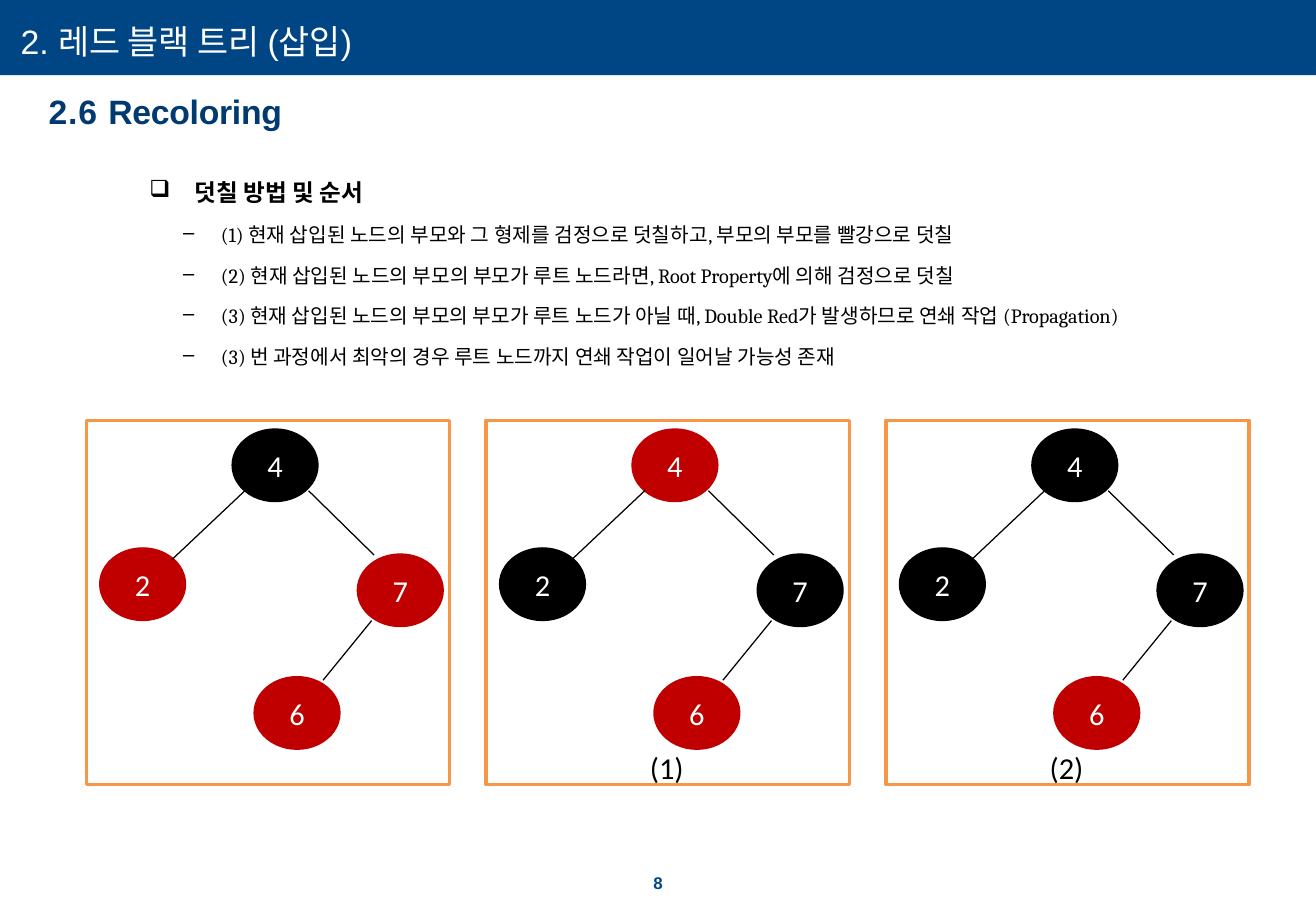
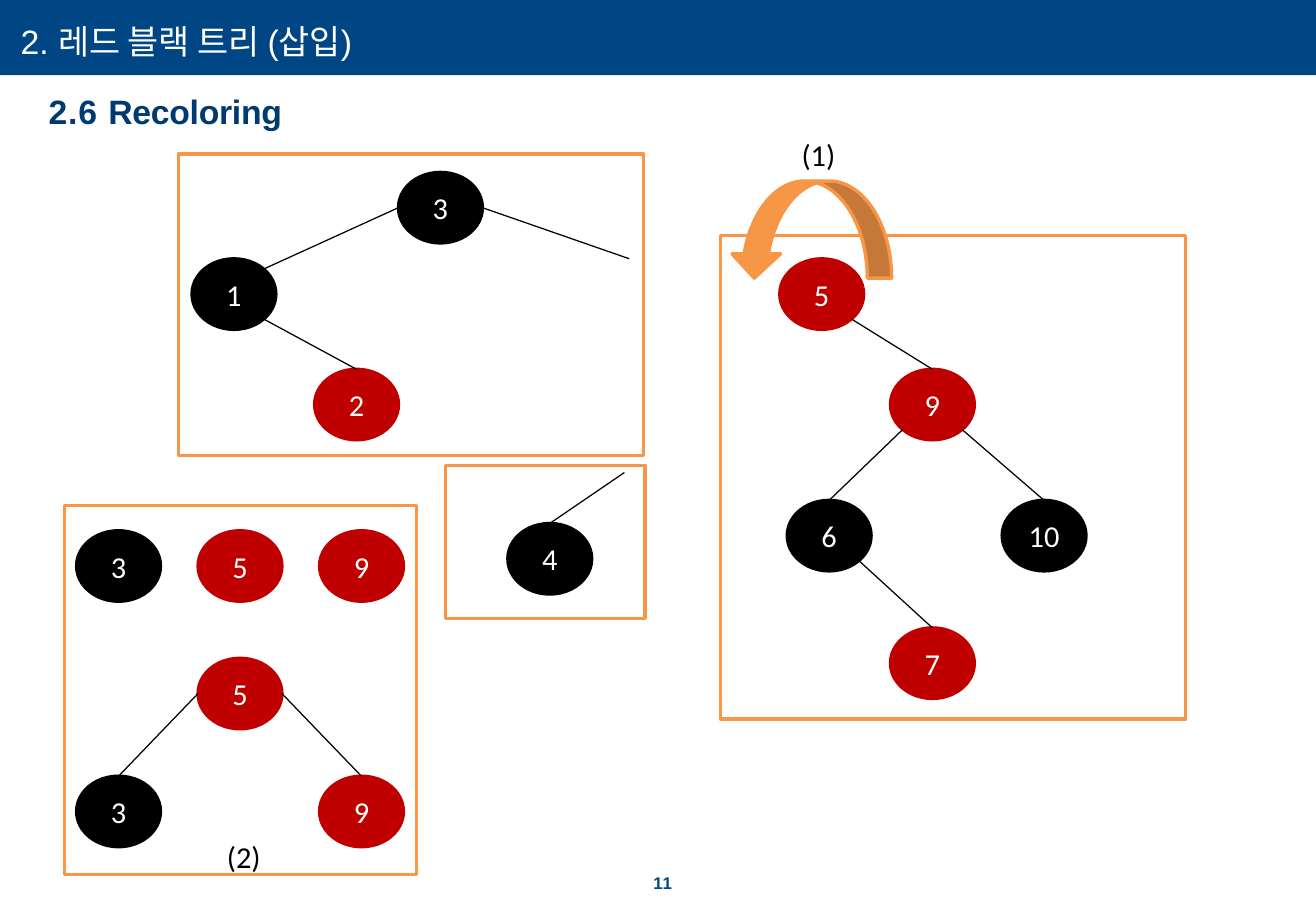
from dataclasses import dataclass

from pptx import Presentation
from pptx.dml.color import RGBColor
from pptx.enum.shapes import MSO_CONNECTOR, MSO_SHAPE
from pptx.enum.text import MSO_ANCHOR, MSO_AUTO_SIZE, PP_ALIGN
from pptx.oxml.ns import qn
from pptx.oxml.xmlchemy import OxmlElement
from pptx.util import Pt

RECTANGLE = MSO_SHAPE.RECTANGLE
OVAL = MSO_SHAPE.OVAL
CURVED_ARROW = MSO_SHAPE.CURVED_DOWN_ARROW
STRAIGHT = MSO_CONNECTOR.STRAIGHT
TOP, MIDDLE = MSO_ANCHOR.TOP, MSO_ANCHOR.MIDDLE
LEFT, CENTER = PP_ALIGN.LEFT, PP_ALIGN.CENTER
FIT_SHAPE, NO_FIT = MSO_AUTO_SIZE.SHAPE_TO_FIT_TEXT, MSO_AUTO_SIZE.NONE


@dataclass(frozen=True)
class Theme:
    band: RGBColor = RGBColor(0x00, 0x46, 0x85)
    section: RGBColor = RGBColor(0x00, 0x3A, 0x70)
    black: RGBColor = RGBColor(0x00, 0x00, 0x00)
    red: RGBColor = RGBColor(0xC0, 0x00, 0x00)
    white: RGBColor = RGBColor(0xFF, 0xFF, 0xFF)
    orange: RGBColor = RGBColor(0xF7, 0x96, 0x46)
    heading_font: str = "Arial"
    body_font: str = "Cambria"
    diagram_font: str = "Calibri"
    heading_size: float = 20
    topic_size: float = 14
    step_size: float = 12
    diagram_size: float = 18
    page_size: float = 10
    outline: float = 2
    edge: float = 0.75


THEME = Theme()
BLACK, RED = THEME.black, THEME.red
SLIDE_WIDTH, SLIDE_HEIGHT, BAND_HEIGHT = 780, 540, 44.6
NODE_WIDTH, NODE_HEIGHT = 49.7, 41.8
CAPTION_SIZE = (34.6, 28.8)

DIAGONAL = 0.3536
SITES = {
    "N": (0, -0.5), "E": (0.5, 0), "W": (-0.5, 0),
    "NE": (DIAGONAL, -DIAGONAL), "SE": (DIAGONAL, DIAGONAL),
    "SW": (-DIAGONAL, DIAGONAL),
}

TITLE = "2. 레드 블랙 트리 (삽입)"
TOPIC = "덧칠 방법 및 순서"
STEPS = [
    "(1) 현재 삽입된 노드의 부모와 그 형제를 검정으로 덧칠하고, 부모의 부모를 빨강으로 덧칠",
    "(2) 현재 삽입된 노드의 부모의 부모가 루트 노드라면, Root Property에 의해 검정으로 덧칠",
    "(3) 현재 삽입된 노드의 부모의 부모가 루트 노드가 아닐 때, Double Red가 발생하므로 연쇄 작업 (Propagation)",
    "(3) 번 과정에서 최악의 경우 루트 노드까지 연쇄 작업이 일어날 가능성 존재",
]

PANEL_LEFT, PANEL_TOP, PANEL_STEP = 51.1, 249.1, 237
PANEL_SIZE = (215.3, 216)
PANEL_NODES = {"4": (87.1, 5.8), "2": (8.6, 76.3), "7": (161.3, 79.9), "6": (100.1, 152.6)}
LOOSE_EDGES = [((169.2, 118.8), (140.4, 154.1)), ((131.8, 41.8), (170.6, 79.9))]
PANELS = [
    ("", {"4": BLACK, "2": RED, "7": RED, "6": RED}),
    ("(1)", {"4": RED, "2": BLACK, "7": BLACK, "6": RED}),
    ("(2)", {"4": BLACK, "2": BLACK, "7": BLACK, "6": RED}),
]

TREE_NODES = [
    ("3", 236.2, 102.2, BLACK), ("1", 113.8, 153.4, BLACK), ("5", 462.2, 153.4, RED),
    ("2", 186.5, 218.9, RED), ("4", 301, 310.3, BLACK), ("9", 527.8, 218.9, RED),
    ("6", 466.6, 296.6, BLACK), ("10", 594, 296.6, BLACK), ("7", 527.8, 372.2, RED),
]
TREE_EDGES = [
    ("3", "W", "1", "NE"), ("2", "N", "1", "SE"), ("5", "SE", "9", "N"),
    ("6", "N", "9", "SW"), ("10", "N", "9", "SE"), ("7", "N", "6", "SE"),
]
TREE_FRAMES = [
    (105.8, 91.4, 275.8, 178.6), (264.2, 275.8, 118.1, 90.7),
    (427, 139.7, 275.8, 286.6), (38.2, 299.5, 208.8, 218.9),
]
TRIPLE = [("3", BLACK), ("5", RED), ("9", RED)]
TRIPLE_LEFT, TRIPLE_STEP, ROW_TOP = 45.4, 72, 314.6
SUBTREE_TOPS = {"3": 460.1, "5": 390.2, "9": 460.1}


def style(run, font, size, color, bold=False, spacing=None):
    run.font.name = font
    run.font.size = Pt(size)
    run.font.color.rgb = color
    run.font.bold = bold
    if spacing is not None:
        run._r.get_or_add_rPr().set("spc", str(round(spacing * 100)))


def place(shape, left, top, width, height):
    shape.left, shape.top = Pt(left), Pt(top)
    shape.width, shape.height = Pt(width), Pt(height)


def clear_margins(frame):
    frame.margin_left = frame.margin_right = 0
    frame.margin_top = frame.margin_bottom = 0


def add_text(slide, left, top, width, height):
    box = slide.shapes.add_textbox(Pt(left), Pt(top), Pt(width), Pt(height))
    box.text_frame.word_wrap = True
    return box.text_frame


def add_figure(slide, kind, bounds, fill=None, line=None):
    figure = slide.shapes.add_shape(kind, *map(Pt, bounds))
    figure.shadow.inherit = False
    if fill is None:
        figure.fill.background()
    else:
        figure.fill.solid()
        figure.fill.fore_color.rgb = fill
    if line is None:
        figure.line.fill.background()
    else:
        figure.line.color.rgb = line
        figure.line.width = Pt(THEME.outline)
    return figure


def add_frame(slide, bounds):
    add_figure(slide, RECTANGLE, bounds, line=THEME.orange)


def add_node(slide, label, left, top, color):
    node = add_figure(slide, OVAL, (left, top, NODE_WIDTH, NODE_HEIGHT), color, color)
    node.text_frame.text = label
    node.text_frame.vertical_anchor = MIDDLE
    paragraph = node.text_frame.paragraphs[0]
    paragraph.alignment = CENTER
    style(paragraph.runs[0], THEME.diagram_font, THEME.diagram_size, THEME.white)


def site(corner, direction):
    across, down = SITES[direction]
    return (corner[0] + NODE_WIDTH * (0.5 + across), corner[1] + NODE_HEIGHT * (0.5 + down))


def add_edge(slide, start, end):
    edge = slide.shapes.add_connector(STRAIGHT, *map(Pt, (*start, *end)))
    edge.line.color.rgb = THEME.black
    edge.line.width = Pt(THEME.edge)
    edge.element.spPr.append(OxmlElement("a:effectLst"))


def add_caption(slide, text, left, top):
    frame = add_text(slide, left, top, *CAPTION_SIZE)
    frame.word_wrap = False
    frame.auto_size = FIT_SHAPE
    frame.text = text
    style(frame.paragraphs[0].runs[0], THEME.diagram_font, THEME.diagram_size, THEME.black)


def set_bullet(paragraph, character, margin, indent):
    properties = paragraph._p.get_or_add_pPr()
    properties.set("marL", str(Pt(margin)))
    properties.set("indent", str(Pt(indent)))
    bullet = OxmlElement("a:buChar")
    bullet.set("char", character)
    properties.append(bullet)


def add_outline(slide):
    frame = add_text(slide, 81.4, 93.6, 656.6, 145.4)
    frame.text = "\n".join([TOPIC, *STEPS])
    for index, paragraph in enumerate(frame.paragraphs):
        is_topic = index == 0
        size = THEME.topic_size if is_topic else THEME.step_size
        paragraph.level = 0 if is_topic else 1
        paragraph.line_spacing = 1.5
        paragraph.space_before = Pt(size * 0.2)
        set_bullet(paragraph, *(("❑", 27, -27) if is_topic else ("–", 42.5, -22.5)))
        style(paragraph.runs[0], THEME.body_font, size, THEME.black, is_topic)


def add_title(slide):
    title = slide.shapes.title
    place(title, 12.2, 12.2, 386.6, 48.2)
    frame = title.text_frame
    frame.text = TITLE
    clear_margins(frame)
    frame.vertical_anchor = TOP
    frame.auto_size = NO_FIT
    frame.paragraphs[0].alignment = LEFT
    style(frame.paragraphs[0].runs[0], THEME.heading_font, THEME.heading_size, THEME.white)


def add_section(slide):
    frame = add_text(slide, 28.8, 54, 476, 24.5)
    clear_margins(frame)
    for text, spacing in (("2.6 ", 0.5), ("Recoloring", -0.2)):
        run = frame.paragraphs[0].add_run()
        run.text = text
        style(run, THEME.heading_font, THEME.heading_size, THEME.section, True, spacing)


def add_page_number(slide, number):
    frame = add_text(slide, 382.3, 518.4, 18.7, 10.8)
    clear_margins(frame)
    frame.margin_left = Pt(5)
    frame.text = str(number)
    paragraph = frame.paragraphs[0]
    paragraph.line_spacing = Pt(10.9)
    style(paragraph.runs[0], THEME.heading_font, THEME.page_size, THEME.band, True, 0.5)


def add_layout_band(slide):
    band = add_figure(slide, RECTANGLE, (0, 0, SLIDE_WIDTH, BAND_HEIGHT), THEME.band)
    band.element.xpath(".//p:cNvPr")[0].set("id", "20")
    slide.slide_layout.shapes.element.insert(2, band.element)


def start_slide(deck, number):
    slide = deck.slides.add_slide(deck.slide_layouts[5])
    add_title(slide)
    add_section(slide)
    add_page_number(slide, number)
    return slide


def add_panel(slide, left, caption, colors):
    def shift(point):
        return left + point[0], PANEL_TOP + point[1]

    corners = {label: shift(corner) for label, corner in PANEL_NODES.items()}
    for label, corner in corners.items():
        add_node(slide, label, *corner, colors[label])
    add_edge(slide, site(corners["4"], "SW"), site(corners["2"], "NE"))
    for start, end in LOOSE_EDGES:
        add_edge(slide, shift(start), shift(end))
    add_frame(slide, (left, PANEL_TOP, *PANEL_SIZE))
    if caption:
        add_caption(slide, caption, *shift((90, 191.5)))


def add_split_trees(slide):
    corners = {label: (left, top) for label, left, top, _ in TREE_NODES}
    for node in TREE_NODES:
        add_node(slide, *node)
    for child, child_site, parent, parent_site in TREE_EDGES:
        add_edge(slide, site(corners[child], child_site), site(corners[parent], parent_site))
    add_edge(slide, site(corners["3"], "E"), (373, 153.4))
    add_edge(slide, (370.1, 280.1), site(corners["4"], "N"))
    for bounds in TREE_FRAMES:
        add_frame(slide, bounds)
    rotation = add_figure(slide, CURVED_ARROW, (432.7, 107.3, 95.8, 57.6),
                          THEME.orange, THEME.orange)
    rotation.element.spPr.find(qn("a:xfrm")).set("flipH", "1")
    add_caption(slide, "(1)", 468, 77)


def add_triple(slide):
    corners = {}
    for index, (label, color) in enumerate(TRIPLE):
        left = TRIPLE_LEFT + index * TRIPLE_STEP
        corners[label] = (left, SUBTREE_TOPS[label])
        add_node(slide, label, left, ROW_TOP, color)
        add_node(slide, label, *corners[label], color)
    for child, side in (("3", "W"), ("9", "E")):
        add_edge(slide, site(corners[child], "N"), site(corners["5"], side))
    add_caption(slide, "(2)", 127.4, 493.2)


def main():
    deck = Presentation()
    deck.slide_width, deck.slide_height = Pt(SLIDE_WIDTH), Pt(SLIDE_HEIGHT)

    method = start_slide(deck, 8)
    add_layout_band(method)
    add_outline(method)
    for index, (caption, colors) in enumerate(PANELS):
        add_panel(method, PANEL_LEFT + index * PANEL_STEP, caption, colors)

    propagation = start_slide(deck, 11)
    add_split_trees(propagation)
    add_triple(propagation)

    deck.save("out.pptx")


main()
